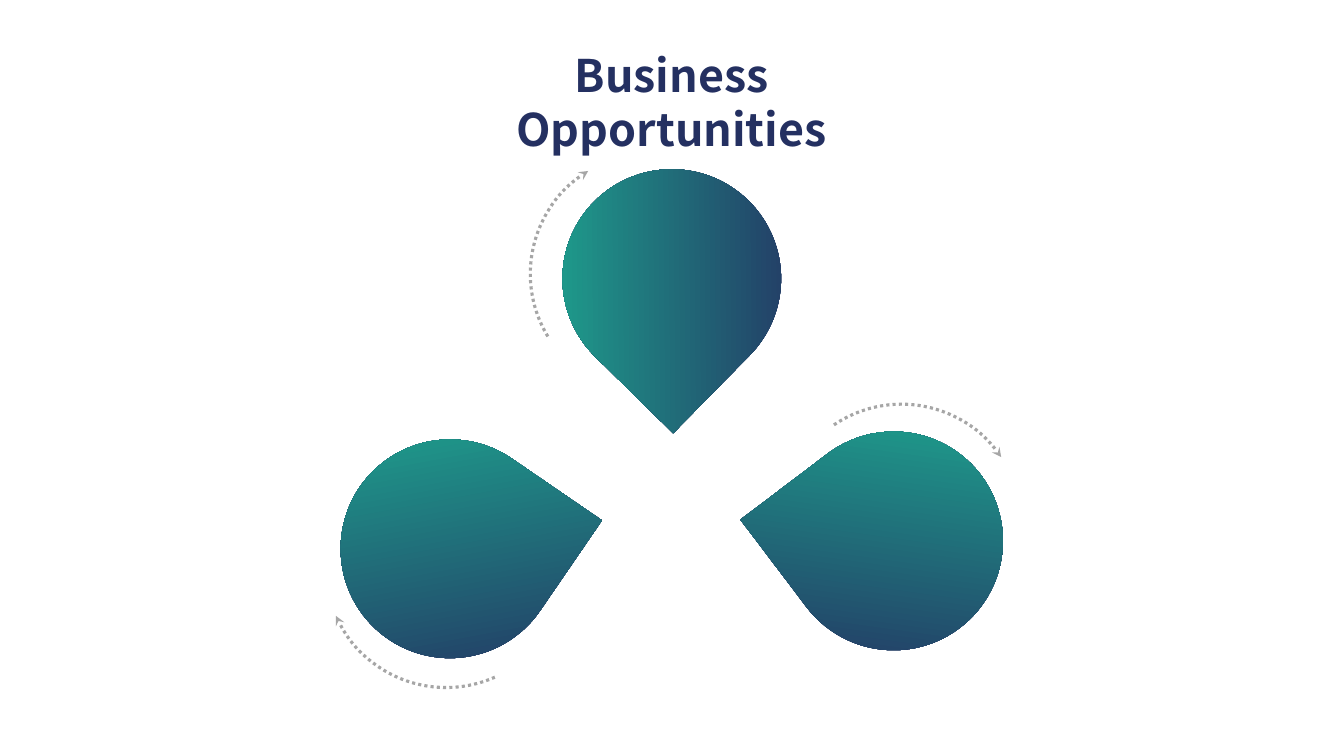
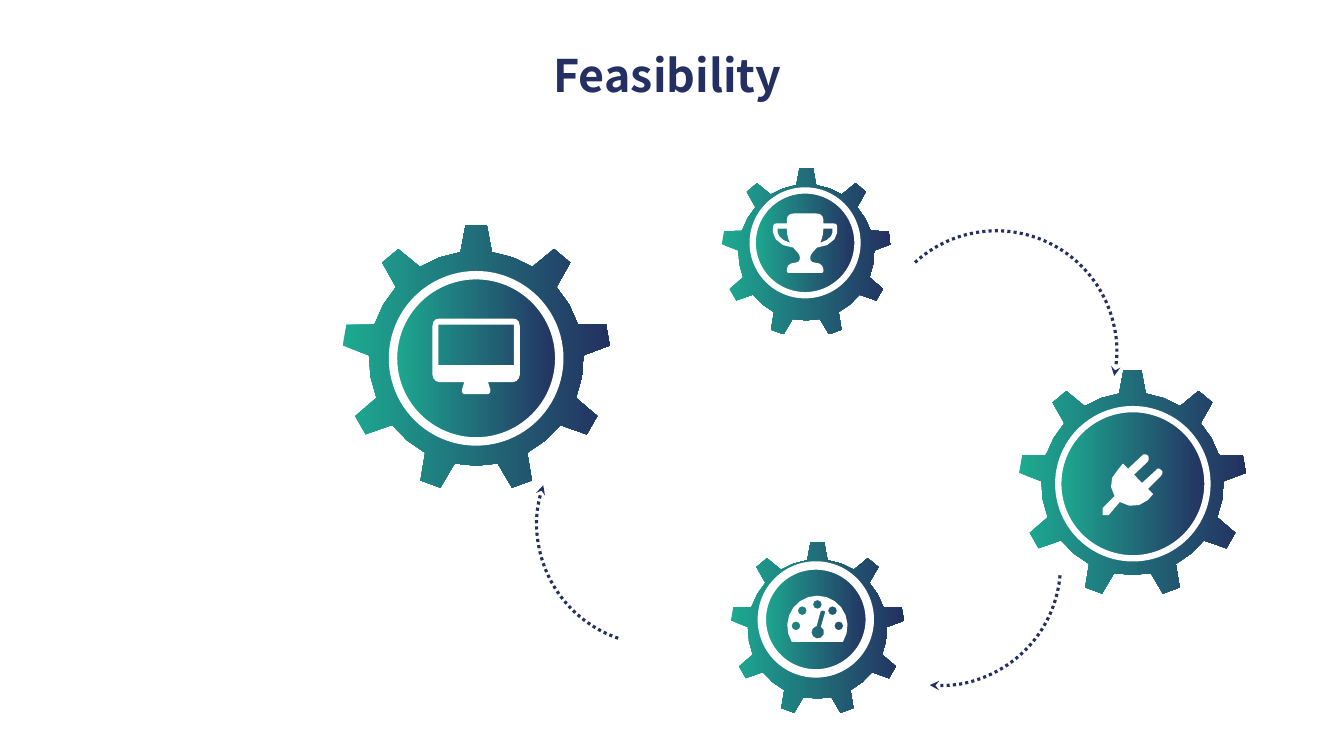
from math import cos, radians, sin

from lxml.etree import SubElement
from pptx import Presentation
from pptx.dml.color import RGBColor
from pptx.enum.dml import MSO_LINE
from pptx.enum.shapes import MSO_SHAPE
from pptx.enum.text import PP_ALIGN
from pptx.oxml.ns import qn
from pptx.util import Cm, Pt

NAVY, TEAL, GREY, WHITE = "243061", "1DAA91", "A6A6A6", "FFFFFF"
FONT = "Noto Sans CJK SC"
TEETH = 9
ARC_SIZE = 6.07
DROP_SIZE = 5.51


def color(code):
    return RGBColor.from_string(code)


def paint(shape, *codes, angle=0):
    """Fill with one colour, or blend two along an anticlockwise angle."""
    shape.shadow.inherit = False
    shape.line.fill.background()
    if len(codes) == 1:
        shape.fill.solid()
        shape.fill.fore_color.rgb = color(codes[0])
        return
    shape.fill.gradient()
    shape.fill.gradient_angle = angle
    for stop, code in zip(shape.fill.gradient_stops, codes):
        stop.color.rgb = color(code)


def preset(slide, kind, x, y, size, turn=0):
    """Add a square preset shape centred on x, y."""
    shape = slide.shapes.add_shape(
        kind, Cm(x - size / 2), Cm(y - size / 2), Cm(size), Cm(size))
    shape.rotation = turn
    return shape


def title(slide, text, left, width, height):
    box = slide.shapes.add_textbox(Cm(left), Cm(1.09), Cm(width), Cm(height))
    box.text_frame.word_wrap = True
    para = box.text_frame.paragraphs[0]
    para.alignment = PP_ALIGN.CENTER
    run = para.add_run()
    run.text = text
    run.font.name = FONT
    run.font.size = Pt(32)
    run.font.bold = True
    run.font.color.rgb = color(NAVY)


def drop(slide, x, y, turn, angle):
    shape = preset(slide, MSO_SHAPE.TEAR, x, y, DROP_SIZE, turn)
    paint(shape, NAVY, TEAL, angle=angle)


def arrow(slide, x, y, turn, code, end=0):
    """Add a dotted arc from the top to the end angle, with an arrowhead."""
    shape = preset(slide, MSO_SHAPE.ARC, x, y, ARC_SIZE, turn)
    shape.adjustments[0] = 270 * 0.6
    shape.adjustments[1] = end * 0.6
    shape.shadow.inherit = False
    shape.fill.background()
    line = shape.line
    line.color.rgb = color(code)
    line.width = Pt(2.25)
    line.dash_style = MSO_LINE.ROUND_DOT
    SubElement(line._get_or_add_ln(), qn("a:tailEnd"), type="stealth")


def polar(r, angle, x=0, y=0):
    return x + r * cos(radians(angle)), y + r * sin(radians(angle))


def sweep(r, start, stop, x=0, y=0, count=8):
    """Return points along a circular arc."""
    step = (stop - start) / count
    return [polar(r, start + i * step, x, y) for i in range(count + 1)]


def trace(steps, count=3):
    """Turn points and six-number Bezier curves into points."""
    points = []
    for step in steps:
        if len(step) == 2:
            points.append(step)
            continue
        a, (b, c, d) = points[-1], zip(step[::2], step[1::2])
        for i in range(1, count + 1):
            t = i / count
            u = 1 - t
            points.append(tuple(
                u**3 * p + 3 * u * u * t * q + 3 * u * t * t * r + t**3 * s
                for p, q, r, s in zip(a, b, c, d)))
    return points


def flip(points):
    return [(-x, y) for x, y in reversed(points)]


def draw(slide, rings, x, y):
    """Add one freeform of closed rings, placed from x, y."""
    build = None
    for ring in rings:
        first, *rest = [(Cm(x + px), Cm(y + py)) for px, py in ring]
        if build is None:
            build = slide.shapes.build_freeform(*first, scale=1.0)
        else:
            build.move_to(*first)
        build.add_line_segments(rest, close=True)
    return build.convert_to_shape()


def gear(slide, x, y, r):
    pitch, inner = 360 / TEETH, r * 0.8
    ring = []
    for i in range(TEETH):
        mid = i * pitch - 90
        ring += [polar(r, mid - 4.5), polar(r, mid + 4.5)]
        ring += sweep(inner, mid + 8.4, mid + pitch - 8.4, count=2)
    paint(draw(slide, [ring], x, y), TEAL, NAVY)


def disc(slide, x, y, size, rim):
    shape = preset(slide, MSO_SHAPE.OVAL, x, y, size)
    paint(shape, TEAL, NAVY)
    shape.line.color.rgb = color(WHITE)
    shape.line.width = Pt(rim)


def screen():
    half = trace([
        (0, 0), (0.93, 0), (1.02, 0, 1.1, 0.05, 1.1, 0.18), (1.1, 1.42),
        (1.1, 1.5, 1.02, 1.6, 0.93, 1.6), (0.3, 1.6), (0.36, 1.8),
        (0.36, 1.87, 0.33, 1.9, 0.3, 1.9)])
    pane = [(0.95, 0.15), (0.95, 1.17)]
    return [half + flip(half), pane + flip(pane)]


def trophy():
    half = trace([
        (0, 0), (0.28, 0), (0.38, 0, 0.46, 0.05, 0.46, 0.15), (0.46, 0.25),
        (0.71, 0.25), (0.79, 0.25, 0.81, 0.28, 0.81, 0.36), (0.81, 0.48),
        (0.81, 0.64, 0.58, 0.86, 0.3, 0.86), (0.2, 0.97),
        (0.15, 1.02, 0.13, 1.07, 0.13, 1.12),
        (0.13, 1.17, 0.15, 1.24, 0.25, 1.24),
        (0.36, 1.24, 0.46, 1.3, 0.46, 1.4), (0.46, 1.47), (0.43, 1.5)])
    grip = trace([
        (0.46, 0.38), (0.69, 0.38), (0.69, 0.48),
        (0.69, 0.56, 0.58, 0.69, 0.38, 0.74),
        (0.43, 0.64, 0.46, 0.53, 0.46, 0.38)])
    return [half + flip(half), grip, flip(grip)]


def gauge():
    dial = sweep(0.76, 148, 392, count=14)
    dots = [sweep(0.11, 0, 360, *polar(0.54, a)) for a in range(180, 361, 45)]
    needle = sweep(0.16, -60, 260, 0.01, 0.16)
    needle += [(0.08, -0.36), (0.14, -0.39), (0.2, -0.36)]
    return [dial, *dots, needle]


def plug():
    return [trace([
        (1.47, 0.56), (1.14, 0.89), (1.27, 1.02), (1.14, 1.17),
        (0.94, 1.35, 0.66, 1.37, 0.43, 1.22), (0.15, 1.55), (0, 1.55),
        (0, 1.37), (0.3, 1.07), (0.15, 0.86, 0.18, 0.58, 0.38, 0.41),
        (0.51, 0.25), (0.64, 0.38), (0.99, 0.05),
        (1.02, 0, 1.09, 0, 1.14, 0.05),
        (1.17, 0.08, 1.17, 0.15, 1.14, 0.2), (0.79, 0.53), (0.99, 0.74),
        (1.35, 0.41), (1.37, 0.36, 1.42, 0.36, 1.47, 0.41),
        (1.52, 0.43, 1.52, 0.51, 1.47, 0.56)])]


def chances(slide):
    for spot in ((22.52, 13.63, 232.9, 315), (11.34, 13.83, 34.4, 135),
                 (16.93, 7.02, 134.5, 315)):
        drop(slide, *spot)
    for spot in ((22.72, 13.22, 325.9), (16.4, 6.9, 238.7),
                 (11.24, 14.29, 156.1)):
        arrow(slide, *spot, GREY)
    title(slide, "Business Opportunities", 12.6, 8.66, 2.64)


def gears(slide):
    for wheel, hub, icon, spot in (
            ((12, 9.03, 3.38), (12, 9.03, 4.19, 6), screen, (12, 8.03)),
            ((28.54, 12.19, 2.87), (28.55, 12.19, 3.76, 4.5),
             plug, (27.79, 11.43)),
            ((20.6, 15.85, 2.19), (20.56, 15.61, 2.72, 6),
             gauge, (20.6, 15.77)),
            ((20.32, 6.36, 2.14), (20.29, 6.12, 2.64, 4.5),
             trophy, (20.29, 5.38))):
        gear(slide, *wheel)
        disc(slide, *hub)
        paint(draw(slide, icon(), *spot), WHITE)
    arrow(slide, 25.11, 8.85, 317.5, NAVY, end=54.35)
    arrow(slide, 16.56, 13.21, 198.9, NAVY)
    arrow(slide, 23.69, 14.24, 94.9, NAVY)
    title(slide, "Feasibility ", 13.08, 7.75, 1.63)


def main():
    deck = Presentation()
    deck.slide_width, deck.slide_height = Cm(33.87), Cm(19.05)
    for fill in (chances, gears):
        fill(deck.slides.add_slide(deck.slide_layouts[6]))
    deck.save("out.pptx")


if __name__ == "__main__":
    main()
